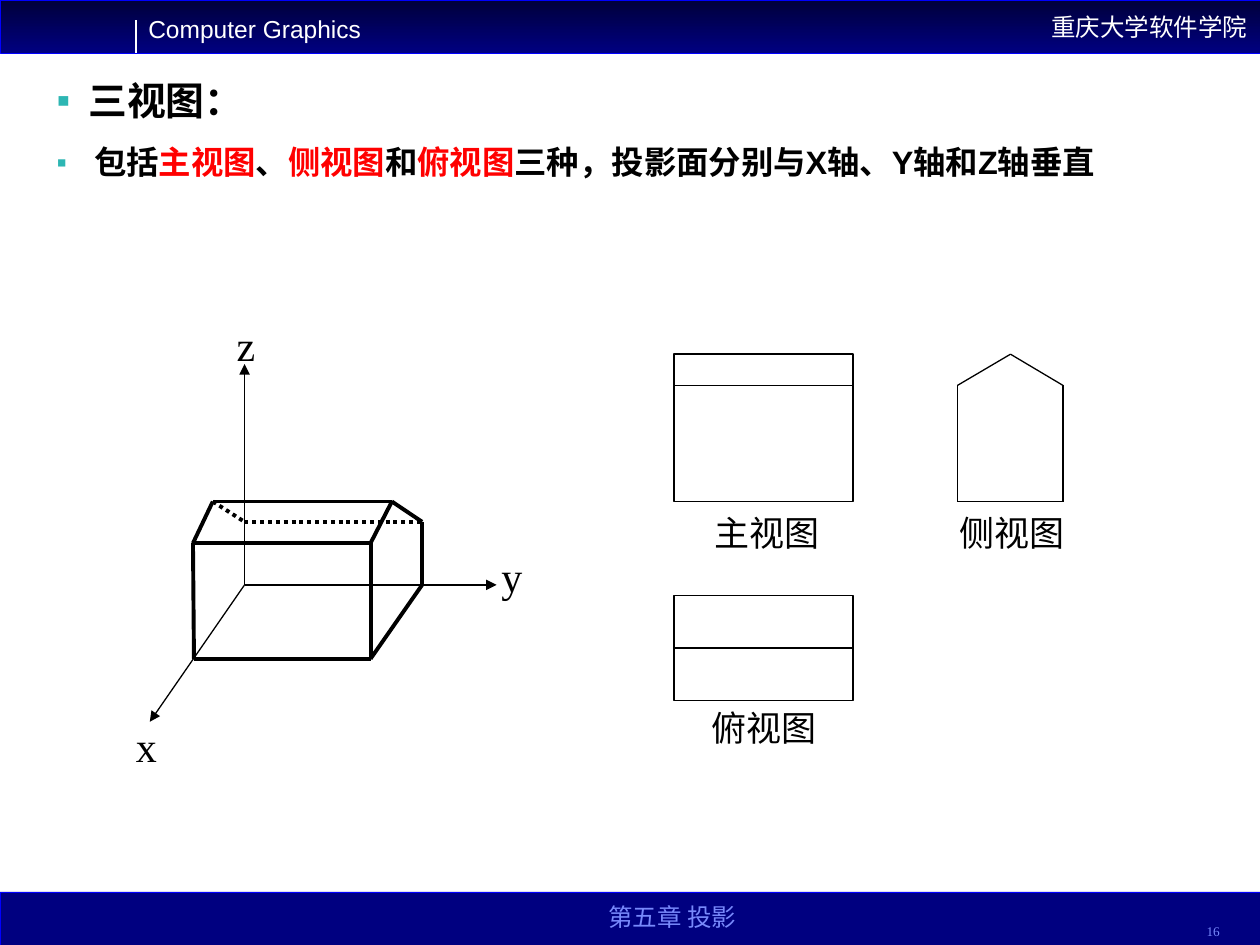
from itertools import pairwise

from lxml import etree
from pptx import Presentation
from pptx import util as u
from pptx.dml.color import RGBColor
from pptx.enum import dml, shapes, text
from pptx.oxml.ns import qn

LATIN, SERIF, CHINESE = "Arial", "Times New Roman", "Noto Sans CJK SC"
BLACK, WHITE, RED = "000000", "FFFFFF", "FF0000"
NAVY, BLUE, LILAC, TEAL = "000080", "0000FF", "7889FB", "2DB6B3"


def rgb(value):
    return RGBColor.from_string(value)


def add_run(paragraph, content, size=14, font=LATIN, color=BLACK, bold=False):
    run = paragraph.add_run()
    run.text = content
    run.font.size = u.Pt(size)
    run.font.name = font
    run.font.bold = bold
    run.font.color.rgb = rgb(color)
    etree.SubElement(run.font._element, qn("a:ea"), typeface=CHINESE)


def add_text(slide, box, content="", align=text.PP_ALIGN.LEFT,
             anchor=text.MSO_ANCHOR.TOP, **font):
    shape = slide.shapes.add_textbox(*map(u.Cm, box))
    frame = shape.text_frame
    frame.word_wrap = True
    frame.vertical_anchor = anchor
    frame.paragraphs[0].alignment = align
    if content:
        add_run(frame.paragraphs[0], content, **font)
    return frame


def add_rectangle(slide, box, line=BLACK, width=0.75, fill=None):
    shape = slide.shapes.add_shape(shapes.MSO_SHAPE.RECTANGLE, *map(u.Cm, box))
    shape.shadow.inherit = False
    shape.line.color.rgb = rgb(line)
    shape.line.width = u.Pt(width)
    if fill:
        shape.fill.solid()
        shape.fill.fore_color.rgb = rgb(fill)
    else:
        shape.fill.background()
    return shape


def add_line(slide, start, end, color=BLACK, width=0.75, arrow=False, dotted=False):
    line = slide.shapes.add_connector(
        shapes.MSO_CONNECTOR.STRAIGHT, *map(u.Cm, (*start, *end)))
    line.line.color.rgb = rgb(color)
    line.line.width = u.Pt(width)
    if dotted:
        line.line.dash_style = dml.MSO_LINE.ROUND_DOT
    if arrow:
        etree.SubElement(line.line._get_or_add_ln(), qn("a:tailEnd"), type="triangle")
    etree.SubElement(line._element.spPr, qn("a:effectLst"))


def add_path(slide, points, **style):
    for start, end in pairwise(points):
        add_line(slide, start, end, **style)


def set_bullet(paragraph, indent, percent=100):
    properties = paragraph._p.get_or_add_pPr()
    properties.set("marL", str(u.Cm(indent)))
    properties.set("indent", str(-u.Cm(indent)))
    color = etree.SubElement(properties, qn("a:buClr"))
    etree.SubElement(color, qn("a:srgbClr"), val=TEAL)
    etree.SubElement(properties, qn("a:buSzPct"), val=str(percent * 1000))
    etree.SubElement(properties, qn("a:buFont"), typeface=LATIN)
    etree.SubElement(properties, qn("a:buChar"), char="▪")
    paragraph.line_spacing = 0.9


def add_bars(slide):
    # Header with gradient
    header = add_rectangle(slide, (0, 0, 25.4, 1.07), line=BLUE, width=0.25)
    header.fill.gradient()
    header.fill.gradient_angle = 270
    for stop, color in zip(header.fill.gradient_stops, ("00003B", NAVY)):
        stop.color.rgb = rgb(color)
    header.text_frame.vertical_anchor = text.MSO_ANCHOR.MIDDLE
    paragraph = header.text_frame.paragraphs[0]
    paragraph.alignment = text.PP_ALIGN.RIGHT
    add_run(paragraph, "重庆大学软件学院", color=WHITE)
    add_text(slide, (2.74, 0.15, 4.8, 0.86), "Computer Graphics", color=WHITE)
    add_line(slide, (2.74, 0.41), (2.74, 1.07), color=WHITE)

    # Footer with chapter and page number
    add_rectangle(slide, (0, 17.98, 25.4, 1.07), line=BLUE, width=0.25, fill=NAVY)
    style = {"anchor": text.MSO_ANCHOR.BOTTOM, "font": SERIF, "color": LILAC}
    add_text(slide, (9.53, 17.93, 8.05, 0.97), "第五章 投影",
             align=text.PP_ALIGN.CENTER, **style)
    add_text(slide, (22.3, 18.08, 2.54, 0.97), "16",
             align=text.PP_ALIGN.RIGHT, size=7.6, **style)


def add_body(slide):
    frame = add_text(slide, (0.89, 1.52, 23.6, 3.2))
    heading = frame.paragraphs[0]
    set_bullet(heading, 0.64)
    heading.space_after = u.Pt(4.5)
    add_run(heading, "三视图：", size=22.2, font=CHINESE, bold=True)

    detail = frame.add_paragraph()
    set_bullet(detail, 0.76, percent=90)
    detail.space_before = u.Pt(8.8)
    parts = ("包括", "主视图", "、", "侧视图", "和", "俯视图",
             "三种，投影面分别与X轴、Y轴和Z轴垂直")
    for index, part in enumerate(parts):
        add_run(detail, part, size=18.5, bold=True, color=RED if index % 2 else BLACK)


def add_house(slide):
    # Axes
    origin = (4.93, 11.79)
    for tip in ((4.93, 7.34), (10.01, 11.79), (3.02, 14.55)):
        add_line(slide, origin, tip, arrow=True)

    # Visible and hidden edges
    front_left, front_right = (3.91, 13.28), (7.47, 13.28)
    eave_left, eave_right = (3.89, 10.95), (7.47, 10.95)
    ridge_left, ridge_right = (4.29, 10.11), (7.9, 10.11)
    back_left, back_right = (4.93, 10.52), (8.51, 10.52)
    back_base = (8.51, 11.79)
    add_path(slide, (front_left, front_right, eave_right, eave_left, front_left),
             width=2.25)
    add_path(slide, (eave_left, ridge_left, ridge_right, eave_right), width=2.25)
    add_path(slide, (ridge_right, back_right, back_base, front_right), width=2.25)
    add_path(slide, (ridge_left, back_left, back_right), width=2.25, dotted=True)

    # Axis names
    for name, left, top in (("y", 9.86, 10.97), ("x", 2.49, 14.4), ("z", 4.52, 6.32)):
        add_text(slide, (left, top, 1, 1.27), name, size=24, font=SERIF)


def add_views(slide):
    left, width = 13.59, 3.61
    top, eave, base = 7.14, 7.77, 10.11

    # Front view
    add_rectangle(slide, (left, eave, width, base - eave))
    add_rectangle(slide, (left, top, width, eave - top))

    # Side view
    wall_left, ridge, wall_right = 19.3, 20.37, 21.43
    add_path(slide, ((ridge, top), (wall_left, eave), (wall_left, base),
                     (wall_right, base), (wall_right, eave), (ridge, top)))

    # Top view
    add_rectangle(slide, (left, 12.01, width, 2.11))
    add_line(slide, (left, 13.06), (left + width, 13.06))

    # View names
    for name, x, y in (("主视图", 14.15, 10.19), ("侧视图", 19.1, 10.19),
                       ("俯视图", 14.1, 14.12)):
        add_text(slide, (x, y, 3.3, 1.12), name, size=20, font=SERIF)


def main():
    presentation = Presentation()
    presentation.slide_width = u.Cm(25.4)
    presentation.slide_height = u.Cm(19.05)
    slide = presentation.slides.add_slide(presentation.slide_layouts[6])
    add_bars(slide)
    add_body(slide)
    add_house(slide)
    add_views(slide)
    presentation.save("out.pptx")


if __name__ == "__main__":
    main()
